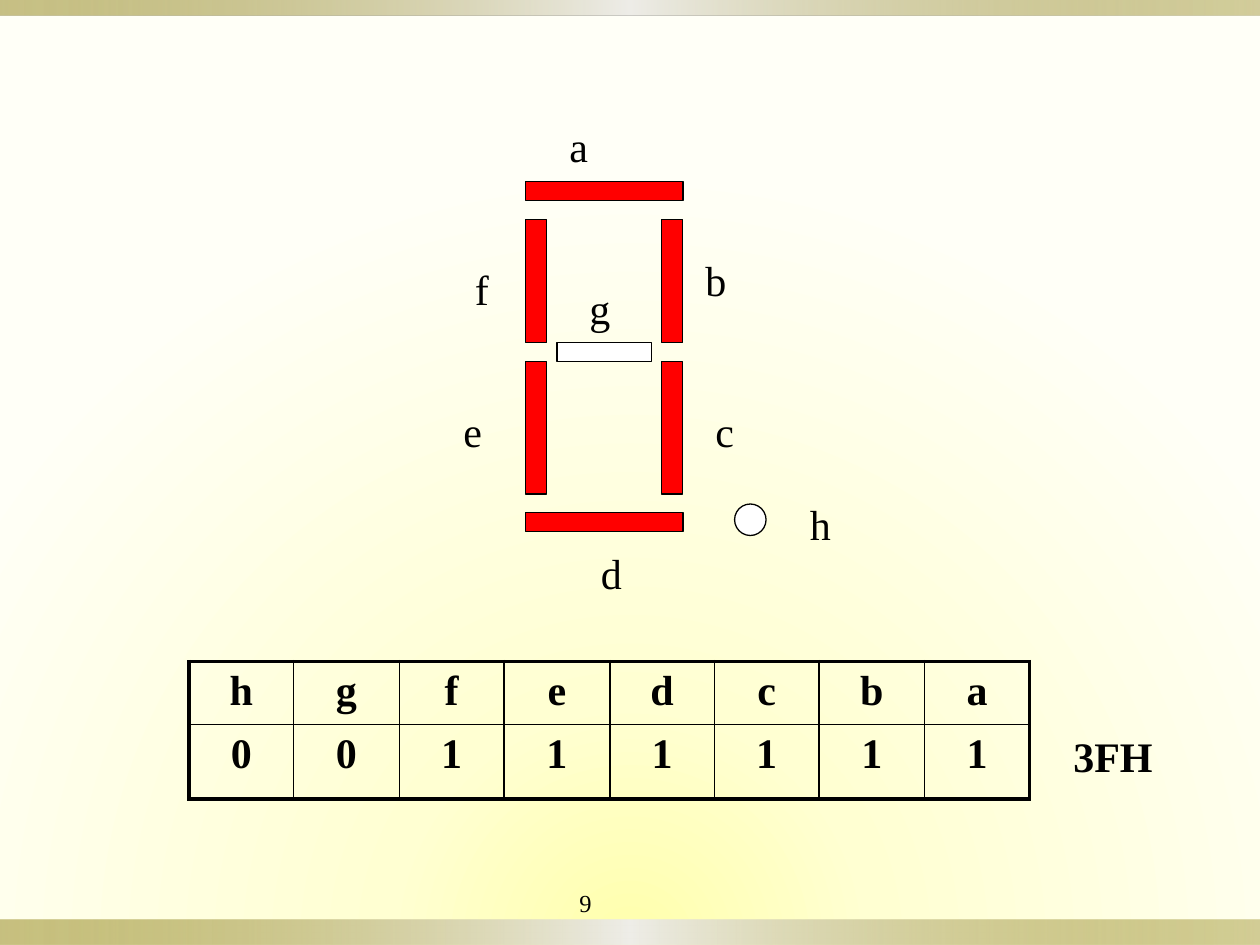
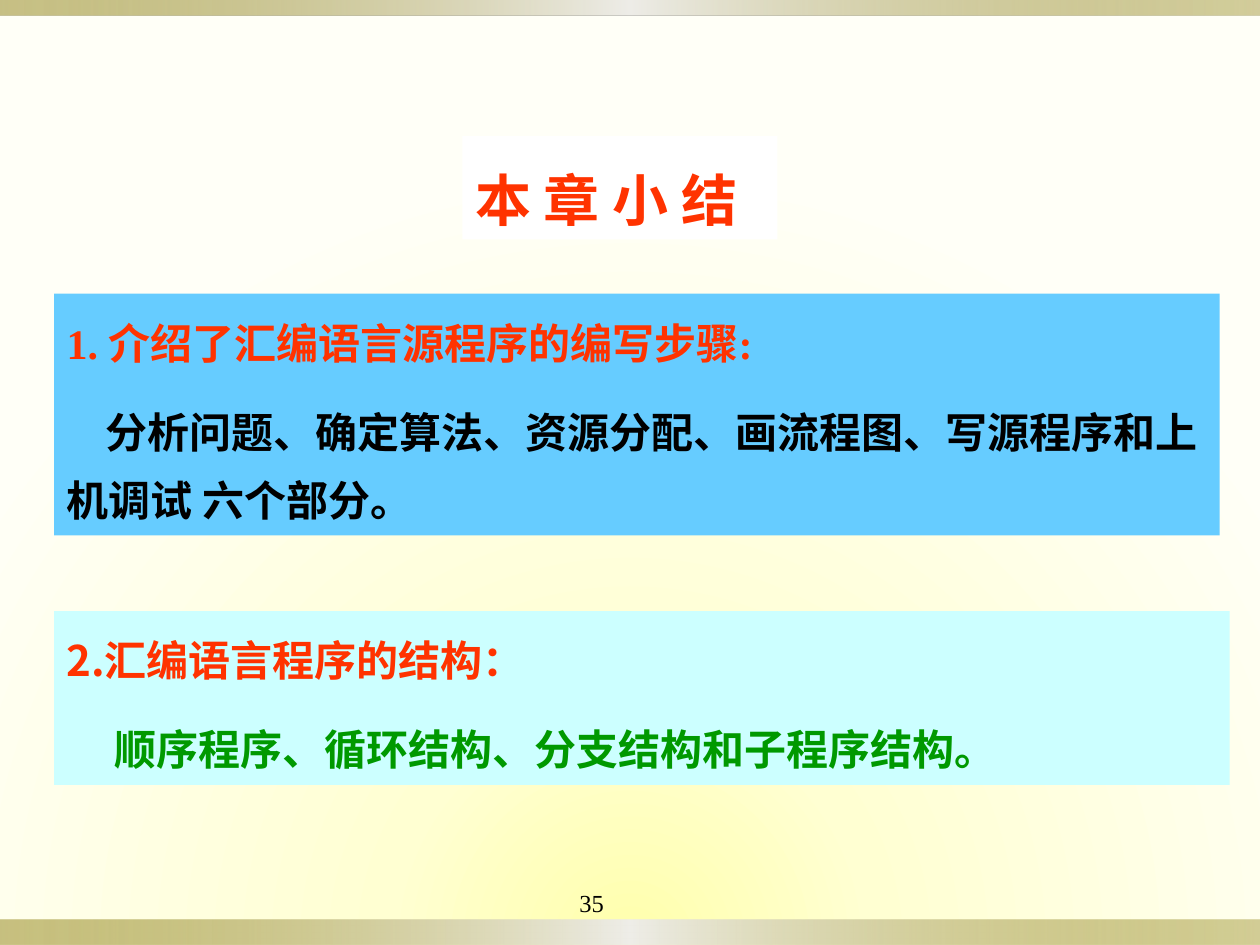
import pptx
import pptx.util
import pptx.dml.color
import pptx.enum.shapes
import pptx.enum.text
import pptx.oxml
import pptx.oxml.ns

UNIT = 9144  # EMU in one px, 100 px to the inch
HUES = {
    "black": "000000", "white": "FFFFFF", "red": "FF0000",
    "orange": "FF3300", "green": "009900", "sky": "66CCFF",
    "aqua": "CCFFFF", "olive": "918415", "pearl": "EEEDE8",
    "core": "FFFFAC", "mid": "FFFFD2", "rim": "FFFFF7",
}
SERIF = "Times New Roman"
SANS = "Noto Sans CJK SC"
GLOW = [(0, "core", 100), (31, "mid", 100), (100, "rim", 100)]
BAND = [(0, "olive", 50), (50, "pearl", 100), (100, "olive", 40)]
LOOSE = 1.35  # line spacing of the title and panels
RECT = pptx.enum.shapes.MSO_SHAPE.RECTANGLE
OVAL = pptx.enum.shapes.MSO_SHAPE.OVAL
LEFT = pptx.enum.text.PP_ALIGN.LEFT
MID = pptx.enum.text.PP_ALIGN.CENTER
TOP = pptx.enum.text.MSO_ANCHOR.TOP


def px(num):
    return pptx.util.Emu(num * UNIT)


def rgb(hue):
    return pptx.dml.color.RGBColor.from_string(HUES[hue])


def node(xml):
    """Parse XML whose root is in the drawing namespace."""
    root, rest = xml.split(" ", 1)
    return pptx.oxml.parse_xml(f"{root} {pptx.oxml.ns.nsdecls('a')} {rest}")


def blend(fill, host, stops, course):
    """Give a fill its gradient stops and its course."""
    fill.gradient()
    grad = host.xpath(".//a:gradFill")[0]
    for kid in list(grad):
        grad.remove(kid)
    marks = "".join(
        f'<a:gs pos="{pos * 1000}"><a:srgbClr val="{HUES[hue]}">'
        f'<a:alpha val="{alpha * 1000}"/></a:srgbClr></a:gs>'
        for pos, hue, alpha in stops)
    grad.append(node(f"<a:gsLst >{marks}</a:gsLst>"))
    grad.append(node(course))


class Deck:
    def __init__(self):
        self.prs = pptx.Presentation()
        self.prs.slide_width, self.prs.slide_height = px(1000), px(750)
        self.slide = None
        master = self.prs.slide_master
        blend(master.background.fill, master._element, GLOW,
              '<a:path path="circle"><a:fillToRect l="50000" t="150000" '
              'r="50000" b="0"/></a:path>')

    def page(self, num, titled=False):
        """Start a slide with its bands and page number."""
        layout = self.prs.slide_layouts[5 if titled else 6]
        self.slide = self.prs.slides.add_slide(layout)
        for top, high in ((730, 20), (0, 12)):
            band = self.shape((0, top, 1000, high))
            blend(band.fill, band._element, BAND, '<a:lin ang="0" scaled="0"/>')
        self.label((450, 700, 100, 31), str(num), size=14)

    def shape(self, box, fill=None, line=None, kind=RECT):
        item = self.slide.shapes.add_shape(kind, *map(px, box))
        item.shadow.inherit = False
        if fill:
            item.fill.solid()
            item.fill.fore_color.rgb = rgb(fill)
        if line:
            item.line.color.rgb = rgb(line)
            item.line.width = pptx.util.Pt(0.75)
        else:
            item.line.fill.background()
        return item

    def frame(self, item):
        text = item.text_frame
        text.word_wrap = True
        text.auto_size = pptx.enum.text.MSO_AUTO_SIZE.NONE
        text.vertical_anchor = TOP
        text.margin_left = text.margin_right = px(10)
        text.margin_top = text.margin_bottom = px(5)
        return text

    def run(self, para, words, size=24, hue="black", bold=False, face=SERIF,
            align=LEFT):
        para.alignment = align
        run = para.add_run()
        run.text = words
        run.font.size = pptx.util.Pt(size)
        run.font.bold = bold
        run.font.name = face
        run.font.color.rgb = rgb(hue)
        run._r.get_or_add_rPr().append(node(f'<a:ea typeface="{SANS}"/>'))

    def label(self, box, words, **look):
        item = self.slide.shapes.add_textbox(*map(px, box))
        self.run(self.frame(item).paragraphs[0], words, **look)

    def title(self, box, words):
        item = self.slide.shapes.title
        item.left, item.top, item.width, item.height = map(px, box)
        item.fill.solid()
        item.fill.fore_color.rgb = rgb("white")
        para = self.frame(item).paragraphs[0]
        para.line_spacing = LOOSE
        self.run(para, words, size=32, hue="orange", bold=True)

    def panel(self, box, fill, lines):
        """Draw a filled box; each line is words, hue, face, indent."""
        text = self.frame(self.shape(box, fill))
        for row, (words, hue, face, indent) in enumerate(lines):
            para = text.add_paragraph() if row else text.paragraphs[0]
            para.line_spacing = LOOSE
            para.space_before = pptx.util.Pt(12 if row else 0)
            para._p.get_or_add_pPr().set("indent", str(px(indent)))
            self.run(para, words, hue=hue, bold=True, face=face)

    def table(self, box, highs, rows):
        tall, wide = len(rows), len(rows[0])
        table = self.slide.shapes.add_table(tall, wide, *map(px, box)).table
        table.first_row = table.horz_banding = False
        edges = [round(box[2] * col / wide) for col in range(wide + 1)]
        for col in range(wide):
            table.columns[col].width = px(edges[col + 1] - edges[col])
        for row, high in enumerate(highs):
            table.rows[row].height = px(high)
            for col, words in enumerate(rows[row]):
                cell = table.cell(row, col)
                outer = {"L": col == 0, "R": col == wide - 1,
                         "T": row == 0, "B": row == tall - 1}
                self.edge(cell, outer)
                cell.fill.background()
                para = cell.text_frame.paragraphs[0]
                self.run(para, words, bold=True, align=MID)

    def edge(self, cell, outer):
        """Draw cell borders, heavier on the outer sides."""
        props = cell._tc.get_or_add_tcPr()
        for side, thick in outer.items():
            width = pptx.util.Pt(2.25 if thick else 1)
            props.append(node(
                f'<a:ln{side} w="{width}"><a:solidFill><a:srgbClr '
                f'val="{HUES["black"]}"/></a:solidFill></a:ln{side}>'))


def digit(deck):
    deck.page(9)
    # Bit table and its code
    deck.table((150, 525, 667, 109), (50, 59), ("hgfedcba", "00111111"))
    deck.label((842, 575, 92, 50), "3FH", bold=True)
    # Lit segments
    for left in (417, 525):
        for top, high in ((174, 98), (287, 105)):
            deck.shape((left, top, 17, high), "red", "black")
    for top in (144, 407):
        deck.shape((417, top, 125, 15), "red", "black")
    # Unlit bar and dot
    deck.shape((442, 272, 75, 15), "white", "black")
    deck.shape((583, 400, 25, 25), "white", "black", OVAL)
    # Segment names
    spots = {"a": (442, 91), "b": (550, 197), "c": (558, 317),
             "d": (467, 430), "e": (358, 317), "f": (367, 204),
             "g": (458, 219), "h": (633, 391)}
    for name, spot in spots.items():
        deck.label((*spot, 42, 50), name)


def recap(deck):
    deck.page(35, titled=True)
    deck.title((367, 108, 250, 82), "本 章 小 结")
    # Summary points
    deck.panel((43, 233, 925, 192), "sky", [
        ("1. 介绍了汇编语言源程序的编写步骤:", "orange", SERIF, 0),
        ("分析问题、确定算法、资源分配、画流程图、写源程序和上机调试 六个部分。",
         "black", SANS, 31)])
    deck.panel((43, 485, 933, 138), "aqua", [
        ("2.汇编语言程序的结构：", "orange", SANS, 0),
        ("顺序程序、循环结构、分支结构和子程序结构。", "green", SANS, 38)])


def main():
    deck = Deck()
    digit(deck)
    recap(deck)
    deck.prs.save("out.pptx")


if __name__ == "__main__":
    main()
